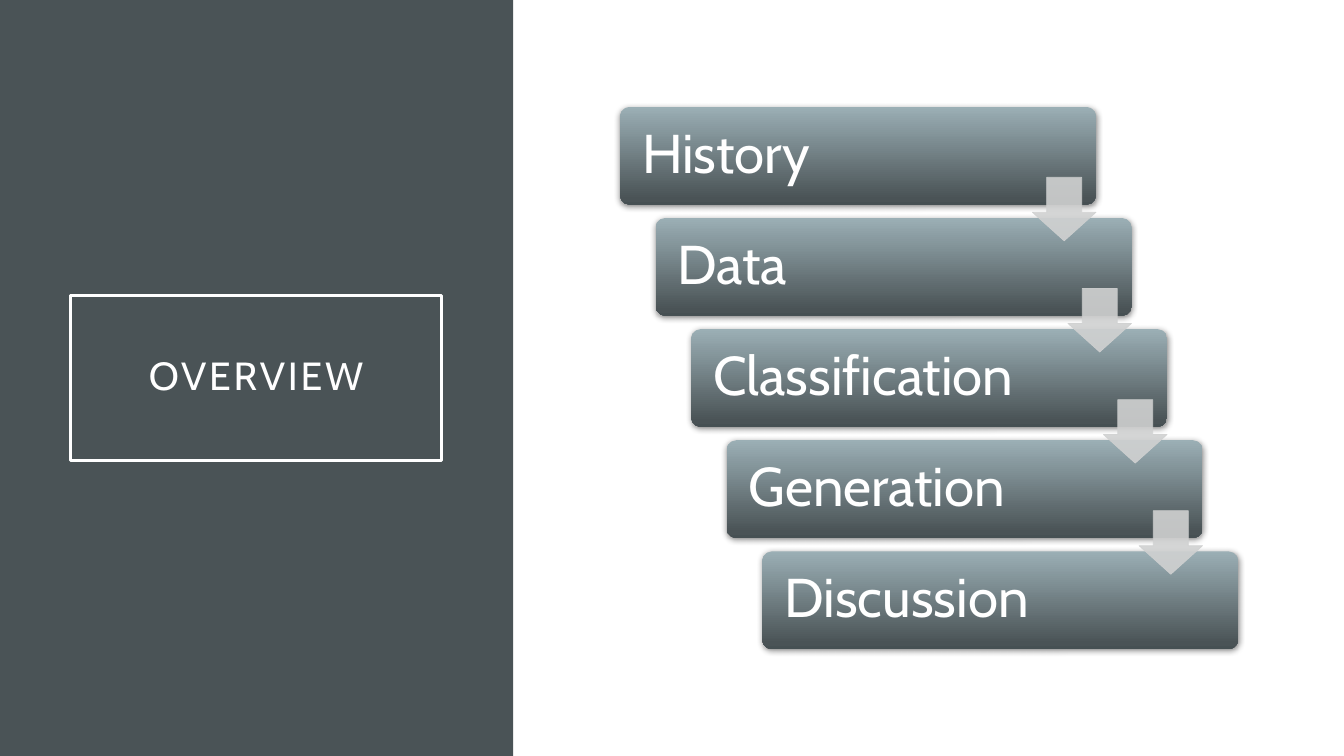
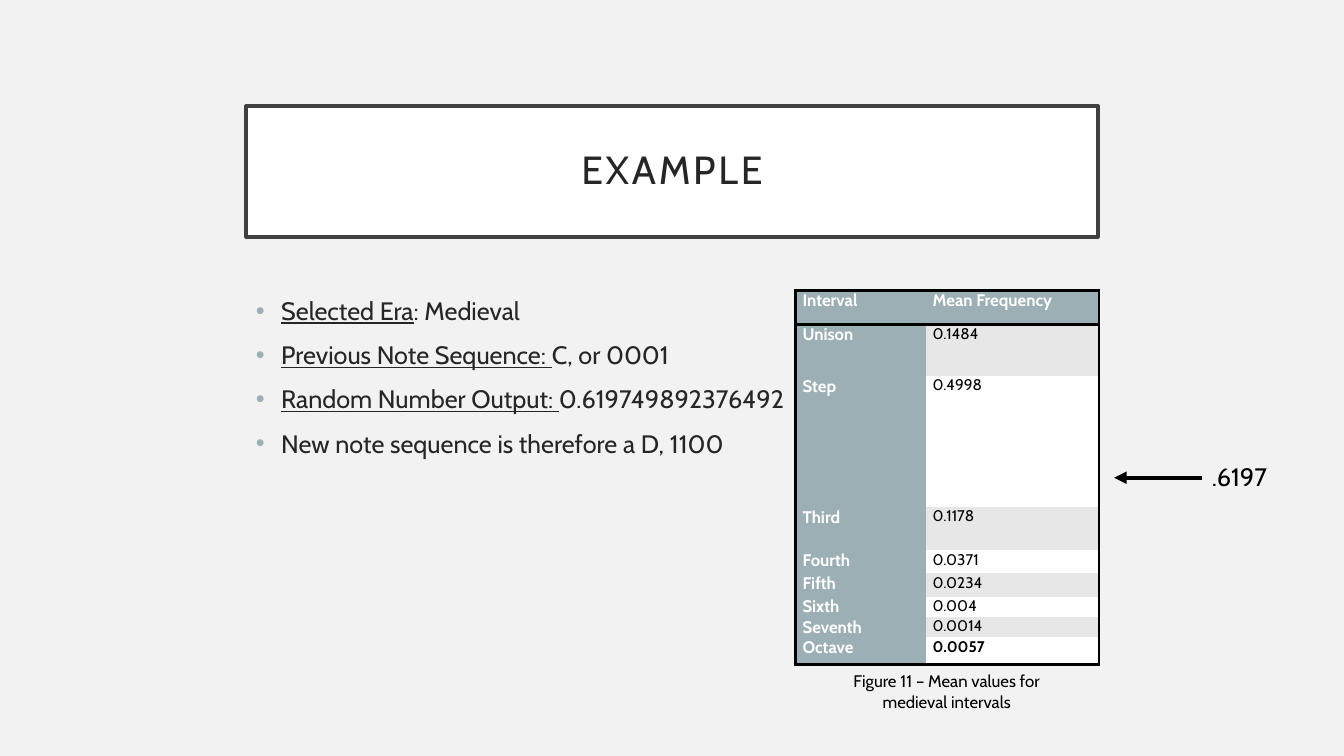
from copy import deepcopy
from lxml import etree
from pptx import Presentation, util as u
from pptx.dml.color import RGBColor
from pptx.enum import shapes as es, text as et
from pptx.oxml.ns import qn

TOPICS = ["History", "Data", "Classification", "Generation", "Discussion"]
POINTS = [
    ("Selected Era", ": Medieval"),
    ("Previous Note Sequence: ", "C, or 0001"),
    ("Random Number Output: ", "0.619749892376492"),
    ("", "New note sequence is therefore a D, 1100"),
]
ROWS = [
    ("Interval", "Mean Frequency", 0.34),
    ("Unison", "0.1484", 0.51),
    ("Step", "0.4998", 1.3),
    ("Third", "0.1178", 0.43),
    ("Fourth", "0.0371", 0.23),
    ("Fifth", "0.0234", 0.23),
    ("Sixth", "0.004", 0.17),
    ("Seventh", "0.0014", 0.16),
    ("Octave", "0.0057", 0.27),
]
COLS = [1.29, 1.72]
CAPTION = "Figure 11 – Mean values for medieval intervals"
MARK = ".6197"

THEME = {
    "font": "Cabin", "white": "FFFFFF", "black": "000000", "ink": "262626",
    "edge": "404040", "page": "F2F2F2", "dark": "4A5356", "deep": "465053",
    "accent": "9BAFB5", "arrow": "D0D1D1", "band": "E7E7E7",
    "title": 28, "step": 39, "body": 18, "head": 12, "cell": 11,
}
NO_STYLE = "{2D5ABB26-0587-4C30-8999-92F81FD0307C}"
WIDE, HIGH = 13.33, 7.5
LEFT, TOP = 2.44, 2.88


def color(key):
    return RGBColor.from_string(THEME[key])


def box(*at):
    return [u.Inches(v) for v in at]


def node(parent, tag, **attrs):
    return etree.SubElement(parent, qn(tag), {k: str(v) for k, v in attrs.items()})


def style(run, size, tone, bold=None):
    font = run.font
    font.name, font.size, font.bold = THEME["font"], u.Pt(THEME[size]), bold
    font.color.rgb = color(tone)


def paint(shape, fill, line=None, width=1):
    if fill:
        shape.fill.solid()
        shape.fill.fore_color.rgb = color(fill)
    else:
        shape.fill.background()
    if line:
        shape.line.color.rgb = color(line)
        shape.line.width = u.Pt(width)
    else:
        shape.line.fill.background()


def insets(frame, *sides):
    (frame.margin_left, frame.margin_top,
     frame.margin_right, frame.margin_bottom) = box(*sides)


def new_slide(deck, title, at, page, fill, line, tone):
    slide = deck.slides.add_slide(deck.slide_layouts[5])
    slide.background.fill.solid()
    slide.background.fill.fore_color.rgb = color(page)
    head = slide.shapes.title
    head.left, head.top, head.width, head.height = box(*at)
    paint(head, fill, line, 2.5)
    frame = head.text_frame
    frame.text = title
    frame.word_wrap = True
    frame.auto_size = et.MSO_AUTO_SIZE.NONE
    frame.vertical_anchor = et.MSO_ANCHOR.MIDDLE
    insets(frame, 0.2, 0.2, 0.2, 0.2)
    para = frame.paragraphs[0]
    para.alignment, para.line_spacing = et.PP_ALIGN.CENTER, 0.9
    style(para.runs[0], "title", tone)
    para.runs[0].font._element.set("spc", "200")
    return slide


def add_shape(slide, kind, at, adjust=()):
    shape = slide.shapes.add_shape(kind, *box(*at))
    shape.shadow.inherit = False
    for i, value in enumerate(adjust):
        shape.adjustments[i] = value
    return shape


def add_text(slide, at, text, size, align=et.PP_ALIGN.LEFT):
    label = slide.shapes.add_textbox(*box(*at))
    frame = label.text_frame
    frame.text, frame.word_wrap = text, True
    frame.paragraphs[0].alignment = align
    style(frame.paragraphs[0].runs[0], size, "black")
    return label


def shade(bar):
    bar.fill.gradient()
    bar.fill.gradient_angle = 270
    stops = bar._element.spPr.find(qn("a:gradFill")).find(qn("a:gsLst"))
    stops.append(deepcopy(stops[-1]))
    for stop, (spot, tone) in zip(
            bar.fill.gradient_stops, [(0, "accent"), (0.94, "dark"), (1, "deep")]):
        stop.position, stop.color.rgb = spot, color(tone)
    bar.line.fill.background()
    effects = bar._element.spPr.find(qn("a:effectLst"))
    glow = node(effects, "a:outerShdw", blurRad=u.Pt(4.4), dist=u.Pt(1.2),
                dir=5400000, algn="ctr", rotWithShape=0)
    node(node(glow, "a:srgbClr", val=THEME["black"]), "a:alpha", val=45000)


def overview(deck):
    slide = new_slide(deck, "OVERVIEW", (0.7, 2.93, 3.68, 1.64),
                      "white", None, "white", "white")
    panel = add_shape(slide, es.MSO_SHAPE.RECTANGLE, (0, 0, 5.09, HIGH))
    paint(panel, "dark")
    slide.shapes._spTree.insert(2, panel._element)
    wide, high, side = 4.72, 0.97, 0.63
    spots = [(6.15 + 0.3525 * i, 1.06 + 1.1025 * i) for i in range(len(TOPICS))]
    for topic, (x, y) in zip(TOPICS, spots):
        bar = add_shape(slide, es.MSO_SHAPE.ROUNDED_RECTANGLE, (x, y, wide, high), [0.1])
        shade(bar)
        frame = bar.text_frame
        frame.text = topic
        frame.vertical_anchor = et.MSO_ANCHOR.MIDDLE
        insets(frame, 0.19, 0.16, 0.16, 0.16)
        para = frame.paragraphs[0]
        para.alignment, para.line_spacing = et.PP_ALIGN.LEFT, 0.9
        style(para.runs[0], "step", "white")
    for x, y in spots[:-1]:
        arrow = add_shape(slide, es.MSO_SHAPE.DOWN_ARROW,
                          (x + wide - side, y + 0.7, side, side), (0.55, 0.45))
        paint(arrow, "arrow", "arrow", 0.5)
        for tint in arrow._element.spPr.iter(qn("a:srgbClr")):
            node(tint, "a:alpha", val=90000)


def add_points(slide):
    frame = slide.shapes.add_textbox(*box(LEFT, TOP, 8.45, 3.39)).text_frame
    frame.word_wrap = True
    for i, parts in enumerate(POINTS):
        para = frame.add_paragraph() if i else frame.paragraphs[0]
        para.space_before = u.Pt(10)
        props = para._p.get_or_add_pPr()
        props.set("marL", str(u.Inches(0.25)))
        props.set("indent", str(-u.Inches(0.25)))
        node(node(props, "a:buClr"), "a:srgbClr", val=THEME["accent"])
        node(props, "a:buFont", typeface="Arial")
        node(props, "a:buChar", char="•")
        for part, under in zip(parts, (True, False)):
            if part:
                run = para.add_run()
                run.text = part
                style(run, "body", "ink")
                run.font.underline = under


def border(cell, sides):
    props = cell._tc.get_or_add_tcPr()
    for side in sides:
        line = node(props, "a:ln" + side, w=u.Pt(2.25))
        node(node(line, "a:solidFill"), "a:srgbClr", val=THEME["black"])


def add_grid(slide):
    last = len(ROWS) - 1
    shape = slide.shapes.add_table(
        len(ROWS), len(COLS),
        *box(7.89, TOP, sum(COLS), sum(row[-1] for row in ROWS)))
    grid = shape.table
    grid.first_row = grid.horz_banding = False
    next(shape._element.iter(qn("a:tableStyleId"))).text = NO_STYLE
    for c, width in enumerate(COLS):
        grid.columns[c].width = u.Inches(width)
    for r, (*words, height) in enumerate(ROWS):
        grid.rows[r].height = u.Inches(height)
        for c, word in enumerate(words):
            cell = grid.cell(r, c)
            head = r == 0 or c == 0
            cell.text = word
            insets(cell, 0.07, 0, 0.07, 0)
            style(cell.text_frame.paragraphs[0].runs[0],
                  "head" if head else "cell", "white" if head else "black",
                  head or r == last)
            border(cell, ["R" if c else "L"] + ["T"] * (r == 0)
                   + ["B"] * (r in (0, last)))
            cell.fill.solid()
            cell.fill.fore_color.rgb = color(
                "accent" if head else "band" if r % 2 else "white")


def example(deck):
    slide = new_slide(deck, "EXAMPLE", (LEFT, 1.05, 8.45, 1.3),
                      "page", "white", "edge", "ink")
    add_points(slide)
    add_grid(slide)
    add_text(slide, (8.16, 6.61, 2.46, 0.5), CAPTION, "head", et.PP_ALIGN.CENTER)
    mark = add_text(slide, (11.92, 4.53, 0.95, 0.42), MARK, "body")
    arrow = slide.shapes.add_connector(
        es.MSO_CONNECTOR.STRAIGHT, *box(11.92, 4.74, 11.05, 4.74))
    arrow.begin_connect(mark, 1)
    arrow.line.color.rgb, arrow.line.width = color("black"), u.Pt(3)
    props = arrow._element.spPr
    node(props.find(qn("a:ln")), "a:tailEnd", type="triangle")
    node(props, "a:effectLst")


def main():
    deck = Presentation()
    deck.slide_width, deck.slide_height = box(WIDE, HIGH)
    overview(deck)
    example(deck)
    deck.save("out.pptx")


if __name__ == "__main__":
    main()
